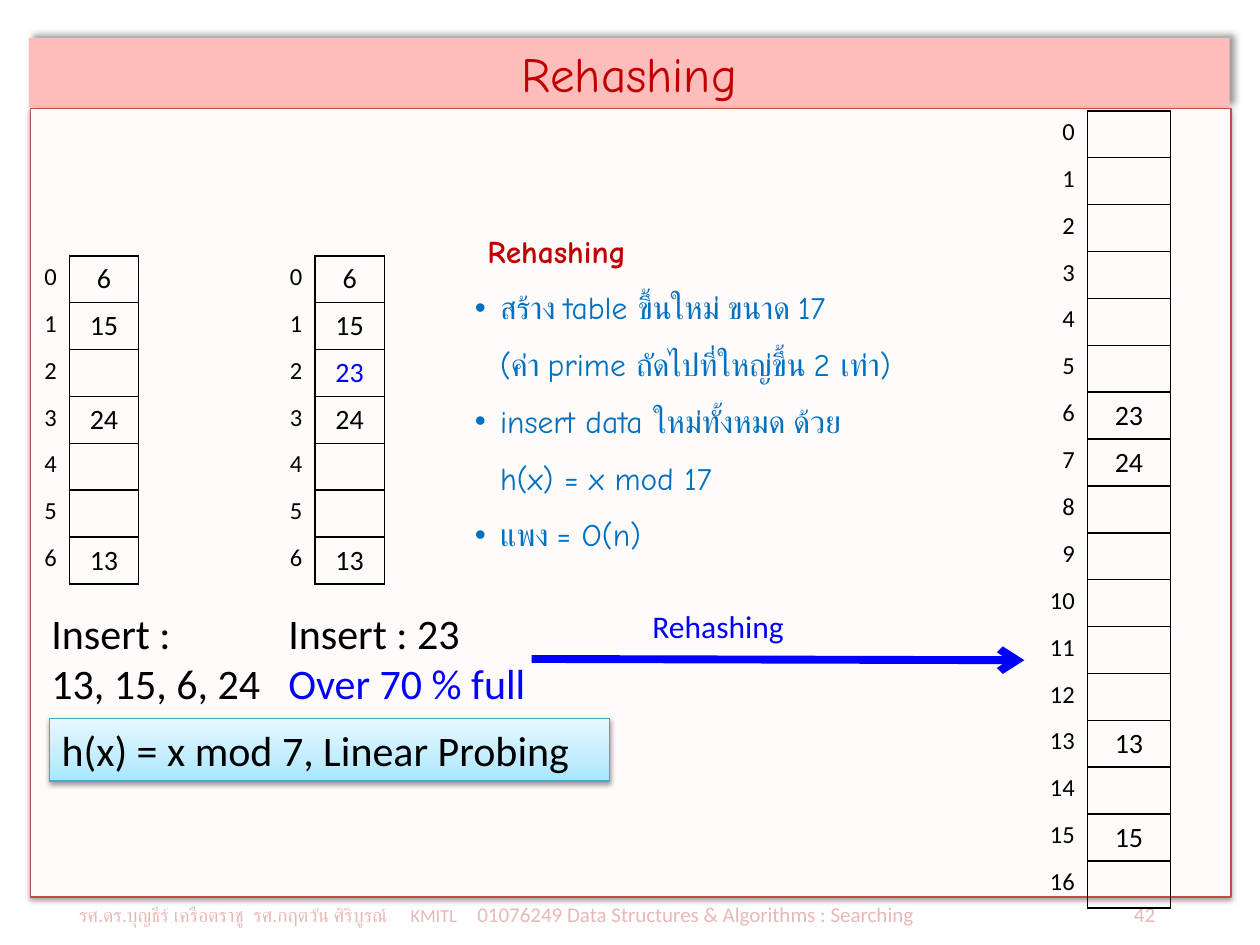
from copy import deepcopy

from pptx import Presentation
from pptx.dml.color import RGBColor
from pptx.enum.shapes import MSO_CONNECTOR, MSO_SHAPE
from pptx.enum.text import MSO_ANCHOR, MSO_AUTO_SIZE, PP_ALIGN
from pptx.oxml import parse_xml
from pptx.oxml.ns import nsdecls, qn
from pptx.util import Inches, Pt

RECT = MSO_SHAPE.RECTANGLE
STRAIGHT = MSO_CONNECTOR.STRAIGHT
TOP, MIDDLE = MSO_ANCHOR.TOP, MSO_ANCHOR.MIDDLE
GROW = MSO_AUTO_SIZE.SHAPE_TO_FIT_TEXT
LEFT, CENTER, RIGHT = PP_ALIGN.LEFT, PP_ALIGN.CENTER, PP_ALIGN.RIGHT

COLORS = {
    "black": "000000", "blue": "0000FF", "sky": "0070C0", "red": "C00000",
    "footer": "E6B9B8", "panel": "FFFBFB", "banner": "FDBDBB",
    "border": "BF4C48", "teal": "46AAC5",
    "ice dark": "A7E6FF", "ice": "C1EDFF", "ice light": "E7F8FF",
}
FORMULA_STOPS = [(0, "ice dark"), (0.35, "ice"), (1, "ice light")]
BODY, DISPLAY = "Calibri", "Comic Neue"
NO_STYLE = "{2D5ABB26-0587-4C30-8999-92F81FD0307C}"
ROW_HEIGHT = Pt(26.8)


def rgb(name):
    return RGBColor.from_string(COLORS[name])


class SlideBuilder:
    def __init__(self, slide):
        self.slide = slide
        self.shapes = slide.shapes

    def style(self, p, size, color="black", font=BODY, bold=False):
        for r in p.runs:
            r.font.size, r.font.name, r.font.bold = Pt(size), font, bold
            r.font.color.rgb = rgb(color)

    def shadow(self, s, alpha, blur, dist, angle):
        s.shadow.inherit = False
        s._element.spPr.find(qn("a:effectLst")).append(parse_xml(
            f'<a:outerShdw {nsdecls("a")} blurRad="{Pt(blur)}" dist="{Pt(dist)}" '
            f'dir="{angle * 60000}" rotWithShape="0"><a:srgbClr val="{COLORS["black"]}">'
            f'<a:alpha val="{alpha * 1000}"/></a:srgbClr></a:outerShdw>'))

    def title(self, text, x, y, w, h):
        s = self.shapes.title
        s.left, s.top, s.width, s.height = map(Inches, (x, y, w, h))
        s.fill.solid()
        s.fill.fore_color.rgb = rgb("banner")
        self.shadow(s, 40, 4, 3, 315)
        tf = s.text_frame
        tf.text = text
        tf.vertical_anchor = MIDDLE
        tf.paragraphs[0].alignment = CENTER
        self.style(tf.paragraphs[0], 28, "red", DISPLAY)

    def box(self, x, y, w, h, line):
        s = self.shapes.add_shape(RECT, *map(Inches, (x, y, w, h)))
        s.line.color.rgb = rgb(line)
        s.line.width = Pt(0.75)
        self.shadow(s, 38, 3.1, 1.6, 90)
        return s

    def panel(self, x, y, w, h):
        s = self.box(x, y, w, h, "border")
        s.fill.solid()
        s.fill.fore_color.rgb = rgb("panel")

    def formula(self, text, x, y, w, h):
        s = self.box(x, y, w, h, "teal")
        s.fill.gradient()
        s.fill.gradient_angle = 90
        stops = s._element.spPr.find(".//" + qn("a:gsLst"))
        stops.append(deepcopy(stops[0]))
        for stop, (position, color) in zip(s.fill.gradient_stops, FORMULA_STOPS):
            stop.position = position
            stop.color.rgb = rgb(color)
        tf = s.text_frame
        tf.text = text
        tf.vertical_anchor = TOP
        tf.paragraphs[0].alignment = LEFT
        self.style(tf.paragraphs[0], 24)

    def text(self, lines, x, y, w, h, size, font=BODY):
        tf = self.shapes.add_textbox(*map(Inches, (x, y, w, h))).text_frame
        tf.word_wrap = True
        tf.auto_size = GROW
        tf.text = "\n".join(text for text, color in lines)
        for p, (text, color) in zip(tf.paragraphs, lines):
            self.style(p, size, color, font)
        return tf

    def bullets(self, heading, items, x, y, w, h):
        lines = [(heading, "red")] + [(item, "sky") for item in items]
        tf = self.text(lines, x, y, w, h, 18, DISPLAY)
        for i, p in enumerate(tf.paragraphs):
            p.line_spacing = 1.5
            pPr = p._p.get_or_add_pPr()
            if i == 0:
                pPr.set("marL", str(Inches(0.1)))
                p.runs[0].font.bold = True
            else:
                pPr.set("marL", str(Inches(0.2)))
                pPr.set("indent", str(-Inches(0.2)))
                pPr.append(parse_xml(f'<a:buFont {nsdecls("a")} typeface="Arial"/>'))
                pPr.append(parse_xml(f'<a:buChar {nsdecls("a")} char="•"/>'))

    def footer(self, parts, tabs, x, y, w, h):
        tf = self.text([("", "footer")], x, y, w, h, 12)
        p = tf.paragraphs[0]
        stops = "".join(f'<a:tab pos="{Inches(pos)}" algn="{align}"/>' for pos, align in tabs)
        p._p.get_or_add_pPr().append(
            parse_xml(f'<a:tabLst {nsdecls("a")}>{stops}</a:tabLst>'))
        for text, size in parts:
            r = p.add_run()
            r.text = text
            r.font.size, r.font.name = Pt(size), BODY
            r.font.color.rgb = rgb("footer")

    def hash_table(self, size, values, x, y, col_width, highlight=None):
        frame = self.shapes.add_table(size, 2, Inches(x), Inches(y),
                                      Inches(2 * col_width), ROW_HEIGHT * size)
        table = frame.table
        table.first_row = table.horz_banding = False
        table._tbl.tblPr.find(qn("a:tableStyleId")).text = NO_STYLE
        for column in table.columns:
            column.width = Inches(col_width)
        for i in range(size):
            table.rows[i].height = ROW_HEIGHT
            index, slot = table.cell(i, 0), table.cell(i, 1)
            color = "blue" if i == highlight else "black"
            self.cell(index, i, RIGHT, 14, "black")
            self.cell(slot, values.get(i, ""), CENTER, 16, color)
            self.borders(slot)

    def cell(self, cell, value, align, size, color):
        cell.fill.background()
        cell.margin_bottom = 0
        cell.text = str(value)
        p = cell.text_frame.paragraphs[0]
        p.alignment = align
        self.style(p, size, color)

    def borders(self, cell):
        tcPr = cell._tc.get_or_add_tcPr()
        for i, side in enumerate(("lnL", "lnR", "lnT", "lnB")):
            tcPr.insert(i, parse_xml(
                f'<a:{side} {nsdecls("a")} w="{Pt(1)}"><a:solidFill>'
                f'<a:srgbClr val="{COLORS["black"]}"/></a:solidFill></a:{side}>'))

    def arrow(self, x1, y1, x2, y2):
        s = self.shapes.add_connector(STRAIGHT, *map(Inches, (x1, y1, x2, y2)))
        s.line.color.rgb = rgb("blue")
        s.line.width = Pt(4.5)
        s.line._get_or_add_ln().append(parse_xml(f'<a:tailEnd {nsdecls("a")} type="arrow"/>'))
        s._element.spPr.append(parse_xml(f'<a:effectLst {nsdecls("a")}/>'))


def main():
    prs = Presentation()
    prs.slide_width, prs.slide_height = Inches(10), Inches(7.5)
    b = SlideBuilder(prs.slides.add_slide(prs.slide_layouts[5]))

    b.panel(0.24, 0.86, 9.53, 6.26)
    b.footer([("รศ.ดร.บุญธีร์ เครือตราชู  รศ.กฤตวัน ศิริบูรณ์", 11), ("\tKMITL", 10.5),
              ("\t01076249 Data Structures & Algorithms : Searching", 12), ("\t42", 12)],
             [(2.63, "l"), (3.16, "l"), (8.54, "r")], 0.53, 7.11, 8.98, 0.37)
    b.title("Rehashing", 0.23, 0.3, 9.53, 0.55)

    start = {0: 6, 1: 15, 3: 24, 6: 13}
    b.hash_table(17, {x % 17: x for x in (6, 23, 24, 13, 15)}, 7.97, 0.88, 0.66)
    b.hash_table(7, start, 0, 2.03, 0.55)
    b.hash_table(7, {**start, 2: 23}, 1.95, 2.03, 0.55, highlight=2)

    b.formula("h(x) = x mod 7, Linear Probing", 0.39, 5.7, 4.45, 0.5)
    b.text([("Insert :", "black"), ("13, 15, 6, 24", "black")], 0.31, 4.77, 2.03, 0.91, 24)
    b.text([("Insert : 23", "black"), ("Over 70 % full", "blue")], 2.19, 4.77, 2.27, 0.91, 24)
    b.arrow(4.22, 5.23, 8.13, 5.24)
    b.bullets("Rehashing",
              ["สร้าง table ขึ้นใหม่ ขนาด 17\v(ค่า prime ถัดไปที่ใหญ่ขึ้น 2 เท่า)",
               "insert data ใหม่ทั้งหมด ด้วย\vh(x) = x mod 17",
               "แพง = O(n)"], 3.67, 1.64, 4.38, 2.83)
    b.text([("Rehashing", "blue")], 5.08, 4.77, 2.11, 0.57, 18)
    prs.save("out.pptx")


if __name__ == "__main__":
    main()
